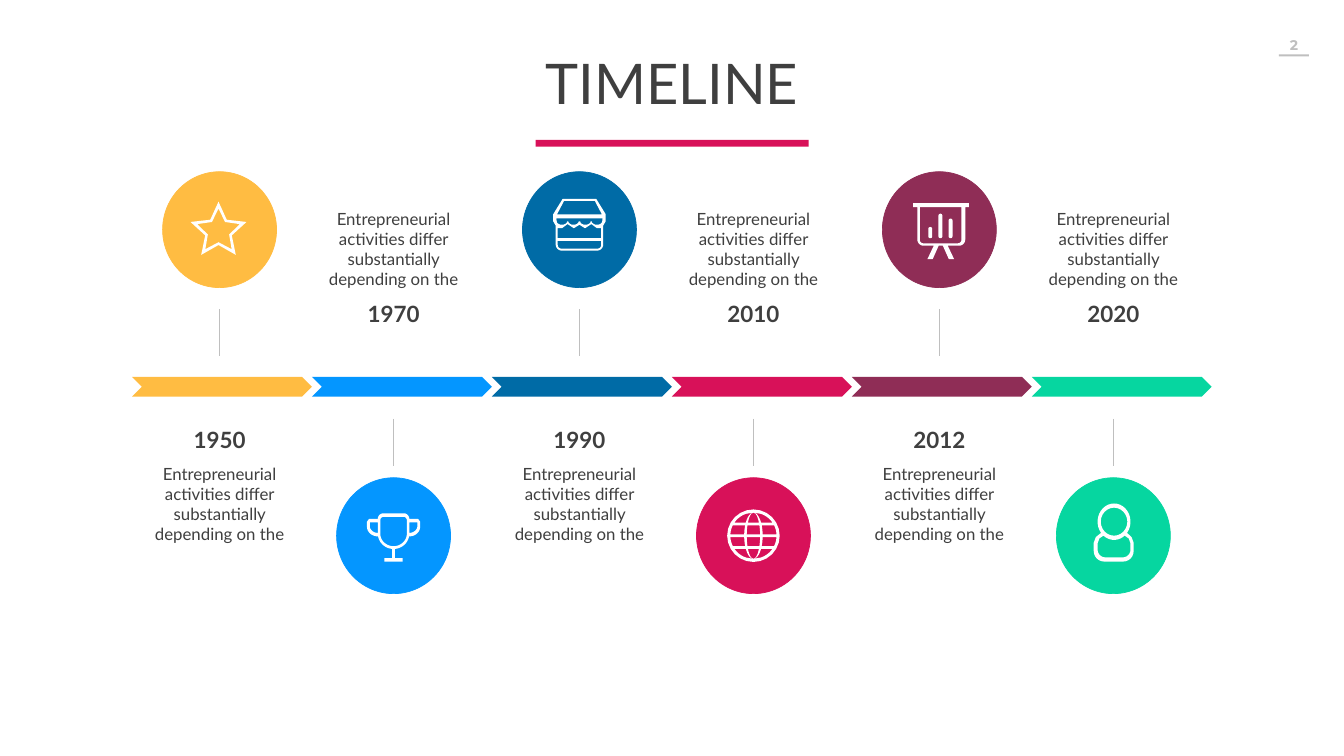
from math import cos, radians, sin, sqrt

from lxml.etree import SubElement
from pptx import Presentation
from pptx.dml.color import RGBColor
from pptx.enum.shapes import MSO_CONNECTOR, MSO_SHAPE as Preset
from pptx.enum.text import MSO_ANCHOR as Anchor, PP_ALIGN as Align
from pptx.oxml.ns import qn
from pptx.util import Pt

COLORS = {"amber": "FFBC42", "sky": "0496FF", "navy": "006BA6", "crimson": "D81159",
          "plum": "8F2D56", "mint": "06D6A0", "ink": "3F3F3F", "grey": "BFBFBF",
          "white": "FFFFFF"}
BLURB = "Entrepreneurial activities differ substantially depending on the"
STEP_WIDTH = 257


# Outlines, in points around the centre of a badge
def arc(cx, cy, rx, ry, start=0, end=360, parts=24):
    angles = [radians(start + (end - start) * i / parts) for i in range(parts + 1)]
    return [(cx + rx * cos(a), cy + ry * sin(a)) for a in angles]


def box(left, top, right, bottom):
    return [(left, top), (right, top), (right, bottom), (left, bottom)]


def mirror(outline, axis=0):
    return [(2 * axis - x, y) for x, y in outline]


def round_bottom(left, right, bottom, radius):
    return (arc(right - radius, bottom - radius, radius, radius, 0, 90, 6)
            + arc(left + radius, bottom - radius, radius, radius, 90, 180, 6))


def star():
    def ring(outer, inner):
        return [(-1.5 + r * sin(radians(36 * i)), 2 - r * cos(radians(36 * i)))
                for i, r in enumerate([outer, inner] * 5)]
    return [ring(42, 20), ring(32, 16)]


def trophy():
    def cup(half, top, radius, depth):
        shoulder = half - radius
        return (arc(0, -3, half, depth, 0, 180)
                + arc(-shoulder, top + radius, radius, radius, 180, 270, 6)
                + arc(shoulder, top + radius, radius, radius, 270, 360, 6))
    handle = arc(-22.5, -13, 15.5, 14, 90, 180) + [(-38, -20), (-35, -24), (-22.5, -24)]
    opening = arc(-22.5, -14, 11.5, 10, 90, 180) + [(-34, -19), (-22.5, -19)]
    return [cup(22.5, -32, 8, 22), cup(19, -27, 5, 18), handle, opening,
            mirror(handle), mirror(opening), box(-2, 19, 2, 32), box(-13, 32, 13, 37)]


def shop():
    walls = ([(-24, -44), (24, -44), (37.5, -22), (37.5, -12), (34, -6)]
             + round_bottom(-34, 34, 30, 9) + [(-34, -6), (-37.5, -12), (-37.5, -22)])
    roof = [(-32, -22), (-22, -41), (22, -41), (32, -22)]
    awning = [(-33, -16), (33, -16)]
    for cx in (25, 8.5, -8.5, -25):
        awning += arc(cx, -12, 7.5, 5, 0, 180, 8)
    front = [(-31, -2), (-25, -2), (-17, -8), (-8, -2), (0, -7), (8, -2), (17, -8),
             (25, -2), (31, -2), (31, 12), (-31, 12)]
    base = [(-31, 16), (31, 16)] + round_bottom(-31, 31, 27, 5)
    return [walls, roof, awning, front, base]


def globe():
    def cell(west, east, top, bottom):
        rows = [top + (bottom - top) * i / 8 for i in range(9)]
        def edge(u, levels):
            return [(33 * u * sqrt(1 - v * v), 33 * v) for v in levels]
        return edge(west, rows) + edge(east, rows[::-1])
    columns = [(-1, -0.4), (-0.29, 0.29), (0.4, 1)]
    bands = [(-1, -0.57), (-0.45, -0.06), (0.06, 0.45), (0.57, 1)]
    return [arc(0, 0, 37.5, 37.5)] + [cell(*c, *b) for c in columns for b in bands]


def chart_board():
    leg = [(-8, 23), (-17, 42), (-9.5, 42), (-1, 23)]
    bars = [arc(x, 9.5, 2.8, 2.8, 0, 180, 8) + arc(x, top, 2.8, 2.8, 180, 360, 8)
            for x, top in ((-13, -1), (1.5, -20), (16, -13))]
    return [box(-37.5, -38, 42, -32),
            [(-31.5, -32), (37, -32)] + round_bottom(-31.5, 37, 23, 9),
            [(-28, -32), (31.5, -32)] + round_bottom(-28, 31.5, 19.5, 5),
            leg, mirror(leg, 2), *bars]


def person():
    return [arc(1, -20, 23.5, 26, 142, 398) + [(26, 2), (29, 10)]
            + round_bottom(-28, 29, 37, 15) + [(-28, 10), (-25, 2)],
            arc(1, -20, 19, 20),
            arc(1, -20, 23.5, 26, 130, 50) + [(22, 4), (24.5, 11)]
            + round_bottom(-22.5, 24.5, 31, 11) + [(-22.5, 11), (-20, 4)]]


STEPS = [("1950", "amber", star), ("1970", "sky", trophy), ("1990", "navy", shop),
         ("2010", "crimson", globe), ("2012", "plum", chart_board), ("2020", "mint", person)]


# Shared drawing helpers
def rgb(name):
    return RGBColor.from_string(COLORS[name])


def paint(shape, color):
    shape.shadow.inherit = False
    shape.fill.solid()
    shape.fill.fore_color.rgb = rgb(color)
    shape.line.fill.background()


def add_block(shapes, preset, left, top, width, height, color):
    block = shapes.add_shape(preset, Pt(left), Pt(top), Pt(width), Pt(height))
    paint(block, color)
    return block


def style(paragraph, size, color="ink", font="Lato", bold=False):
    paragraph.alignment = Align.CENTER
    paragraph.font.size = Pt(size)
    paragraph.font.name = font
    paragraph.font.bold = bold
    paragraph.font.color.rgb = rgb(color)


# Heading and page number
def add_heading(slide, left, top, width, height):
    title = slide.shapes.title
    title.left, title.top, title.width, title.height = map(Pt, (left, top, width, height))
    frame = title.text_frame
    frame.text = "TIMELINE"
    frame.vertical_anchor = Anchor.TOP
    frame.paragraphs[0].line_spacing = 0.9
    style(frame.paragraphs[0], 80)
    add_block(slide.shapes, Preset.RECTANGLE, left + 80, top + 123, width - 160, 9.4, "crimson")


def add_page_number(slide, left, top, width, height):
    number = slide.shapes.add_textbox(Pt(left), Pt(top), Pt(width), Pt(height)).text_frame
    number.margin_top = number.margin_bottom = Pt(7.2)
    number.text = "2"
    style(number.paragraphs[0], 20, "grey", "Montserrat", True)
    add_block(slide.shapes, Preset.RECTANGLE, left + 12, top + 33, width - 24, 3, "grey")


# Parts of a timeline step
def add_badge(slide, cx, cy, color, icon):
    badge = slide.shapes.add_group_shape().shapes
    disc = add_block(badge, Preset.OVAL, cx - 81.4, cy - 82.8, 162.8, 165.6, color)
    disc.line.color.rgb = rgb(color)
    disc.line.width = Pt(1)
    builder = None
    for outline in icon():
        (x, y), *rest = [(Pt(cx + dx), Pt(cy + dy)) for dx, dy in outline]
        if builder is None:
            builder = badge.build_freeform(x, y)
        else:
            builder.move_to(x, y)
        builder.add_line_segments(rest, close=True)
    paint(builder.convert_to_shape(), "white")


def add_stem(slide, x, top, bottom):
    stem = slide.shapes.add_connector(MSO_CONNECTOR.STRAIGHT, Pt(x), Pt(top), Pt(x), Pt(bottom))
    stem.line.color.rgb = rgb("grey")
    stem.line.width = Pt(0.75)
    SubElement(stem._element.spPr, qn("a:effectLst"))


def add_caption(slide, left, top, width, height, year, year_first):
    caption = slide.shapes.add_textbox(Pt(left), Pt(top), Pt(width), Pt(height)).text_frame
    caption.word_wrap = True
    caption.margin_left = caption.margin_right = Pt(19.2)
    caption.margin_top = caption.margin_bottom = Pt(9.6)
    lines = [(year, 32, True), (BLURB, 24, False)]
    first, second = caption.paragraphs[0], caption.add_paragraph()
    for paragraph, (text, size, bold) in zip((first, second), lines if year_first else lines[::-1]):
        paragraph.text = text
        style(paragraph, size, bold=bold)
    second.space_before = Pt(15.6)


def add_step(slide, left, top, width, height, step, badge_above):
    year, color, icon = step
    add_block(slide.shapes, Preset.CHEVRON, left, top, width, height, color)
    cx = left + width / 2 - (3.5 if badge_above else 12)
    badge_y, stem_top, caption_top = ((-210.4, -97, 60) if badge_above
                                      else (226.8, 60, -250.5))
    add_stem(slide, cx, top + stem_top, top + stem_top + 67)
    add_caption(slide, cx - width / 2, top + caption_top, width, 190, year, badge_above)
    add_badge(slide, cx, top + badge_y, color, icon)


def add_timeline(slide, left, top, height):
    for i, step in enumerate(STEPS):
        add_step(slide, left + i * STEP_WIDTH, top, STEP_WIDTH, height, step, i % 2 == 0)


def main():
    deck = Presentation()
    deck.slide_width, deck.slide_height = Pt(1919.5), Pt(1080)
    slide = deck.slides.add_slide(deck.slide_layouts[5])
    add_page_number(slide, 1814.5, 44.6, 67, 39)
    add_timeline(slide, 188.6, 538.5, 28)
    add_heading(slide, 685, 77, 550, 94)
    deck.save("out.pptx")


if __name__ == "__main__":
    main()
